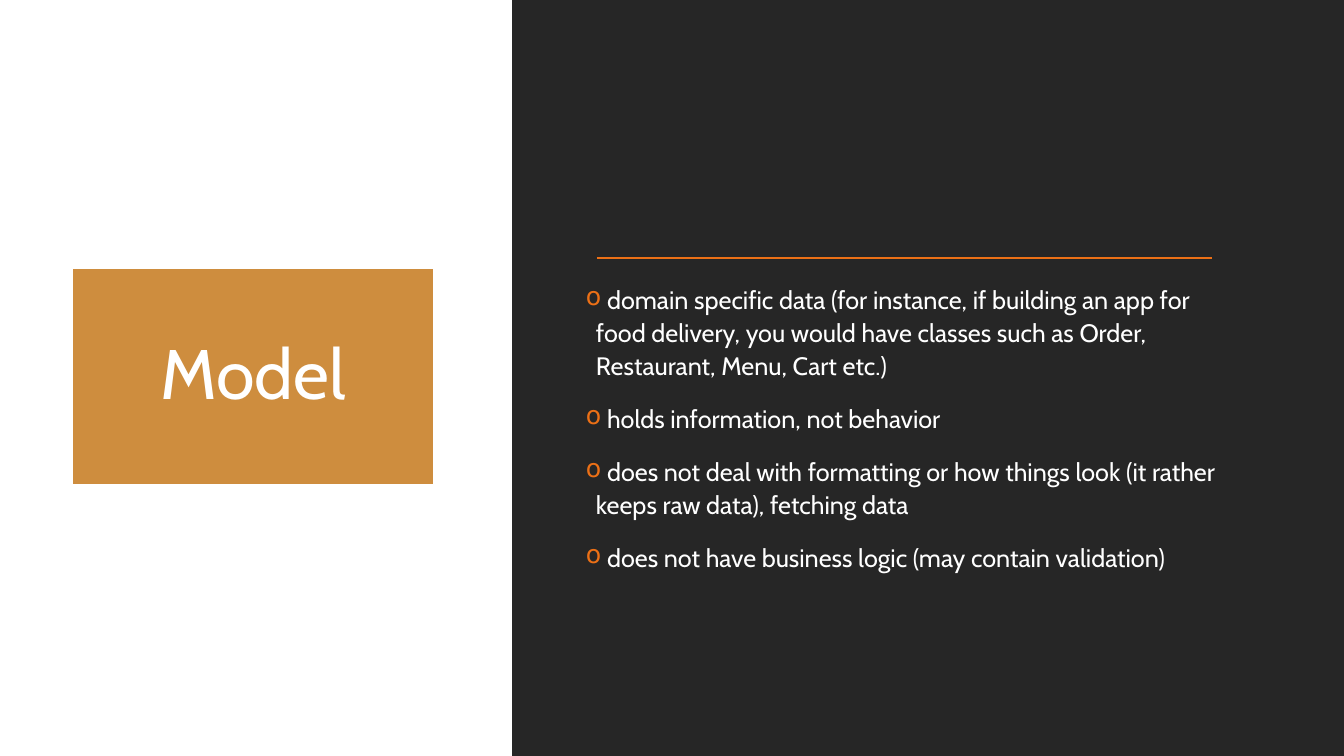
from lxml import etree
from pptx import Presentation
from pptx.dml.color import RGBColor
from pptx.enum.shapes import MSO_CONNECTOR, MSO_SHAPE
from pptx.enum.text import MSO_ANCHOR, PP_ALIGN
from pptx.oxml.ns import qn
from pptx.util import Pt

RECTANGLE = MSO_SHAPE.RECTANGLE
STRAIGHT = MSO_CONNECTOR.STRAIGHT
MIDDLE = MSO_ANCHOR.MIDDLE
CENTER = PP_ALIGN.CENTER

FONT = "Cabin"
COLORS = {"white": "FFFFFF", "dark": "262626", "accent": "EC7016", "title": "CE8D3E"}
POINTS = [
    " domain specific data (for instance, if building an app for food delivery, "
    "you would have classes such as Order, Restaurant, Menu, Cart etc.)",
    " holds information, not behavior",
    " does not deal with formatting or how things look (it rather keeps raw data), fetching data",
    " does not have business logic (may contain validation)",
]


def px(length):
    """Turn pixels, 100.8 to the inch, into EMU."""
    return round(length * 914400 / 100.8)


def color(name):
    return RGBColor.from_string(COLORS[name])


prs = Presentation()
prs.slide_width, prs.slide_height = px(1344), px(756)
slide = prs.slides.add_slide(prs.slide_layouts[6])
shapes = slide.shapes
slide.background.fill.solid()
slide.background.fill.fore_color.rgb = color("white")

# Dark panel on the right
panel = shapes.add_shape(RECTANGLE, px(512), 0, px(832), px(756))
panel.shadow.inherit = False
panel.fill.solid()
panel.fill.fore_color.rgb = color("dark")
panel.line.fill.background()

# Rule above the points
rule = shapes.add_connector(STRAIGHT, px(597), px(258), px(1212), px(258))
rule.line.color.rgb = color("accent")
rule.line.width = Pt(1.5)
etree.SubElement(rule._element.spPr, qn("a:effectLst"))

# Bulleted points
body = shapes.add_textbox(px(586), px(276), px(637), px(373)).text_frame
body.word_wrap = True
body.margin_left = body.margin_right = 0
body.margin_top = body.margin_bottom = px(5)
for i, point in enumerate(POINTS):
    paragraph = body.paragraphs[0] if i == 0 else body.add_paragraph()
    paragraph.text = point
    paragraph.line_spacing = 1.1
    paragraph.space_before = Pt(12 if i else 0)
    paragraph.space_after = Pt(2)
    properties = paragraph._p.get_or_add_pPr()
    properties.set("marL", str(px(10)))
    properties.set("indent", str(px(-10)))
    bullet_color = etree.SubElement(properties, qn("a:buClr"))
    etree.SubElement(bullet_color, qn("a:srgbClr"), val=COLORS["accent"])
    etree.SubElement(properties, qn("a:buChar"), char="o")
    font = paragraph.runs[0].font
    font.name, font.size = FONT, Pt(18)
    font.color.rgb = color("white")

# Title block
title = shapes.add_shape(RECTANGLE, px(72), px(268), px(362), px(217))
title.shadow.inherit = False
title.fill.solid()
title.fill.fore_color.rgb = color("title")
title.line.color.rgb = color("white")
title.line.width = Pt(2)
frame = title.text_frame
frame.word_wrap = True
frame.vertical_anchor = MIDDLE
frame.margin_left = frame.margin_right = frame.margin_top = frame.margin_bottom = px(20)
frame.text = "Model"
heading = frame.paragraphs[0]
heading.alignment = CENTER
heading.line_spacing = 0.9
font = heading.runs[0].font
font.name, font.size = FONT, Pt(50)
font.color.rgb = color("white")

prs.save("out.pptx")
